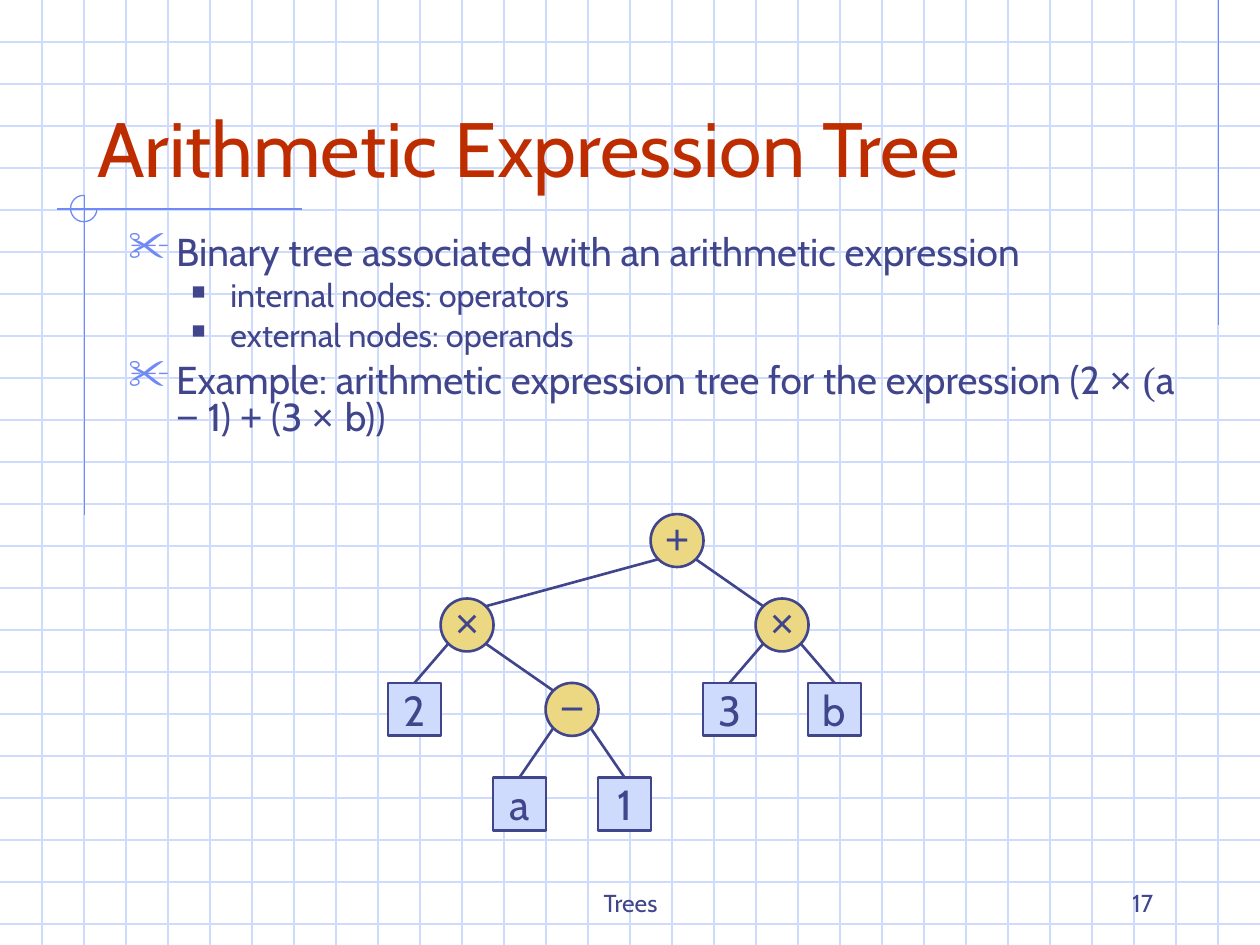
import dataclasses
import itertools

import pptx
import pptx.dml.color
import pptx.enum.shapes
import pptx.enum.text
import pptx.oxml.ns
import pptx.util
from lxml import etree

Inches = pptx.util.Inches
Pt = pptx.util.Pt
Align = pptx.enum.text.PP_ALIGN
Anchor = pptx.enum.text.MSO_ANCHOR
Shape = pptx.enum.shapes.MSO_SHAPE
qn = pptx.oxml.ns.qn


def rgb(value):
    return pptx.dml.color.RGBColor.from_string(value)


@dataclasses.dataclass(frozen=True)
class Theme:
    ink: str = "40458C"
    heading: str = "BE2D00"
    accent: str = "6F89F7"
    pale: str = "CFDBFD"
    gold: str = "ECD882"
    font: str = "Cabin"
    symbol_font: str = "Arial"
    paren_font: str = "Times New Roman"
    title_size: float = 44
    node_size: float = 24
    body_sizes: tuple = (22.2, 18.5)
    footer_size: float = 14
    thin: float = 0.75
    thick: float = 1.5


@dataclasses.dataclass(frozen=True)
class Bullet:
    char: str
    color: str
    percent: int
    indent: float
    hang: float
    space: float


WIDTH, HEIGHT = 10, 7.5
GRID = 1 / 3
NODE = 0.42
COLUMN_STEP = 5 / 12
TREE_LEFT = 3.08
ROW_TOPS = (4.08, 4.75, 5.42, 6.17)
TREE = ("+", ("×", "2", ("−", "a", "1")), ("×", "3", "b"))

BULLETS = (
    Bullet("✂", Theme.accent, 110, 0.38, 0.38, 6),
    Bullet("■", Theme.ink, 60, 0.81, 0.31, 5),
)
POINTS = (
    (0, (("Binary tree associated with an arithmetic expression", Theme.font),)),
    (1, (("internal nodes: operators", Theme.font),)),
    (1, (("external nodes: operands", Theme.font),)),
    (0, (
        ("Example: arithmetic expression tree for the expression (2 ", Theme.font),
        ("× ", Theme.symbol_font),
        ("(", Theme.paren_font),
        ("a ", Theme.font),
        ("−", Theme.symbol_font),
        (" 1) ", Theme.font),
        ("+", Theme.symbol_font),
        (" (3 ", Theme.font),
        ("× ", Theme.symbol_font),
        ("b))", Theme.font),
    )),
)


class SlideBuilder:
    def __init__(self, slide, theme):
        self.slide = slide
        self.theme = theme

    def style(self, run, size, color=None, font=None):
        run.font.size = Pt(size)
        run.font.name = font or self.theme.font
        run.font.color.rgb = rgb(color or self.theme.ink)

    def line(self, start, end, color, width):
        connector = self.slide.shapes.add_connector(
            pptx.enum.shapes.MSO_CONNECTOR.STRAIGHT,
            *(Inches(value) for value in (*start, *end)))
        connector.line.color.rgb = rgb(color)
        connector.line.width = Pt(width)
        etree.SubElement(connector.element.spPr, qn("a:effectLst"))
        return connector

    def grid(self):
        for row in range(1, 23):
            self.line((0, row * GRID), (WIDTH, row * GRID), self.theme.pale, self.theme.thin)
        for column in range(1, 30):
            self.line((column * GRID, 0), (column * GRID, HEIGHT), self.theme.pale, self.theme.thin)

    def ornament(self):
        for start, end in (((9.67, 0), (9.67, 2.58)),
                           ((2.4, 1.66), (0.45, 1.66)),
                           ((0.67, 1.55), (0.67, 4.09))):
            self.line(start, end, self.theme.accent, self.theme.thin)
        arc = self.slide.shapes.add_shape(
            Shape.ARC, Inches(0.56), Inches(1.55), Inches(0.21), Inches(0.21))
        arc.adjustments[0] = 0
        arc.adjustments[1] = 270 * 0.6
        arc.shadow.inherit = False
        arc.fill.background()
        arc.line.color.rgb = rgb(self.theme.accent)
        arc.line.width = Pt(self.theme.thin)

    def title(self, text, box):
        title = self.slide.shapes.title
        title.left, title.top, title.width, title.height = map(Inches, box)
        frame = title.text_frame
        frame.text = text
        frame.auto_size = pptx.enum.text.MSO_AUTO_SIZE.NONE
        frame.vertical_anchor = Anchor.BOTTOM
        frame.paragraphs[0].alignment = Align.LEFT
        self.style(frame.paragraphs[0].runs[0], self.theme.title_size, self.theme.heading)
        title.element.getparent().append(title.element)

    def footer(self, text, box, alignment):
        frame = self.slide.shapes.add_textbox(*map(Inches, box)).text_frame
        frame.text = text
        frame.word_wrap = True
        frame.vertical_anchor = Anchor.BOTTOM
        frame.paragraphs[0].alignment = alignment
        self.style(frame.paragraphs[0].runs[0], self.theme.footer_size)

    def bullet(self, paragraph, bullet):
        properties = paragraph._p.get_or_add_pPr()
        properties.set("marL", str(Inches(bullet.indent)))
        properties.set("indent", str(-Inches(bullet.hang)))
        color = etree.SubElement(properties, qn("a:buClr"))
        etree.SubElement(color, qn("a:srgbClr"), val=bullet.color)
        etree.SubElement(properties, qn("a:buSzPct"), val=str(bullet.percent * 1000))
        etree.SubElement(properties, qn("a:buChar"), char=bullet.char)

    def body(self, points, box):
        frame = self.slide.shapes.add_textbox(*map(Inches, box)).text_frame
        frame.word_wrap = True
        for index, (level, pieces) in enumerate(points):
            paragraph = frame.add_paragraph() if index else frame.paragraphs[0]
            self.bullet(paragraph, BULLETS[level])
            paragraph.level = level
            paragraph.line_spacing = 0.8
            paragraph.space_before = Pt(BULLETS[level].space if index else 0)
            for text, font in pieces:
                run = paragraph.add_run()
                run.text = text
                self.style(run, self.theme.body_sizes[level], font=font)

    def node(self, label, column, depth, is_operator):
        node = self.slide.shapes.add_shape(
            Shape.OVAL if is_operator else Shape.RECTANGLE,
            Inches(TREE_LEFT + column * COLUMN_STEP), Inches(ROW_TOPS[depth]),
            Inches(NODE), Inches(NODE))
        node.shadow.inherit = False
        node.fill.solid()
        node.fill.fore_color.rgb = rgb(self.theme.gold if is_operator else self.theme.pale)
        node.line.color.rgb = rgb(self.theme.ink)
        node.line.width = Pt(self.theme.thick)
        frame = node.text_frame
        frame.text = label
        frame.word_wrap = False
        frame.vertical_anchor = Anchor.MIDDLE
        if is_operator:
            frame.margin_left = frame.margin_right = frame.margin_top = 0
        frame.paragraphs[0].alignment = Align.CENTER
        self.style(frame.paragraphs[0].runs[0], self.theme.node_size,
                   font=self.theme.symbol_font if is_operator else self.theme.font)
        return node

    def rim(self, node, side, vertical):
        reach = NODE / 2 * 0.5 ** 0.5
        return (node.left.inches + NODE / 2 + side * reach,
                node.top.inches + NODE / 2 + vertical * reach)

    def edge(self, parent, child, side):
        edge = self.line(self.rim(parent, side, 1), self.rim(child, -side, -1),
                         self.theme.ink, self.theme.thick)
        if child.auto_shape_type == Shape.RECTANGLE:
            edge.end_connect(child, 0)

    def tree(self, branch, columns, depth=0):
        if isinstance(branch, str):
            return self.node(branch, next(columns), depth, False)
        operator, left, right = branch
        left_child = self.tree(left, columns, depth + 1)
        parent = self.node(operator, next(columns), depth, True)
        right_child = self.tree(right, columns, depth + 1)
        self.edge(parent, left_child, -1)
        self.edge(parent, right_child, 1)
        return parent


def main():
    deck = pptx.Presentation()
    deck.slide_width, deck.slide_height = Inches(WIDTH), Inches(HEIGHT)
    builder = SlideBuilder(deck.slides.add_slide(deck.slide_layouts[5]), Theme())
    builder.grid()
    builder.ornament()
    builder.footer("Trees", (3.42, 6.83, 3.17, 0.5), Align.CENTER)
    builder.footer("17", (7.17, 6.83, 2.08, 0.5), Align.RIGHT)
    builder.title("Arithmetic Expression Tree", (0.67, 0.33, 8.5, 1.25))
    builder.body(POINTS, (0.92, 1.83, 8.5, 2.08))
    builder.tree(TREE, itertools.count())
    deck.save("out.pptx")


if __name__ == "__main__":
    main()
